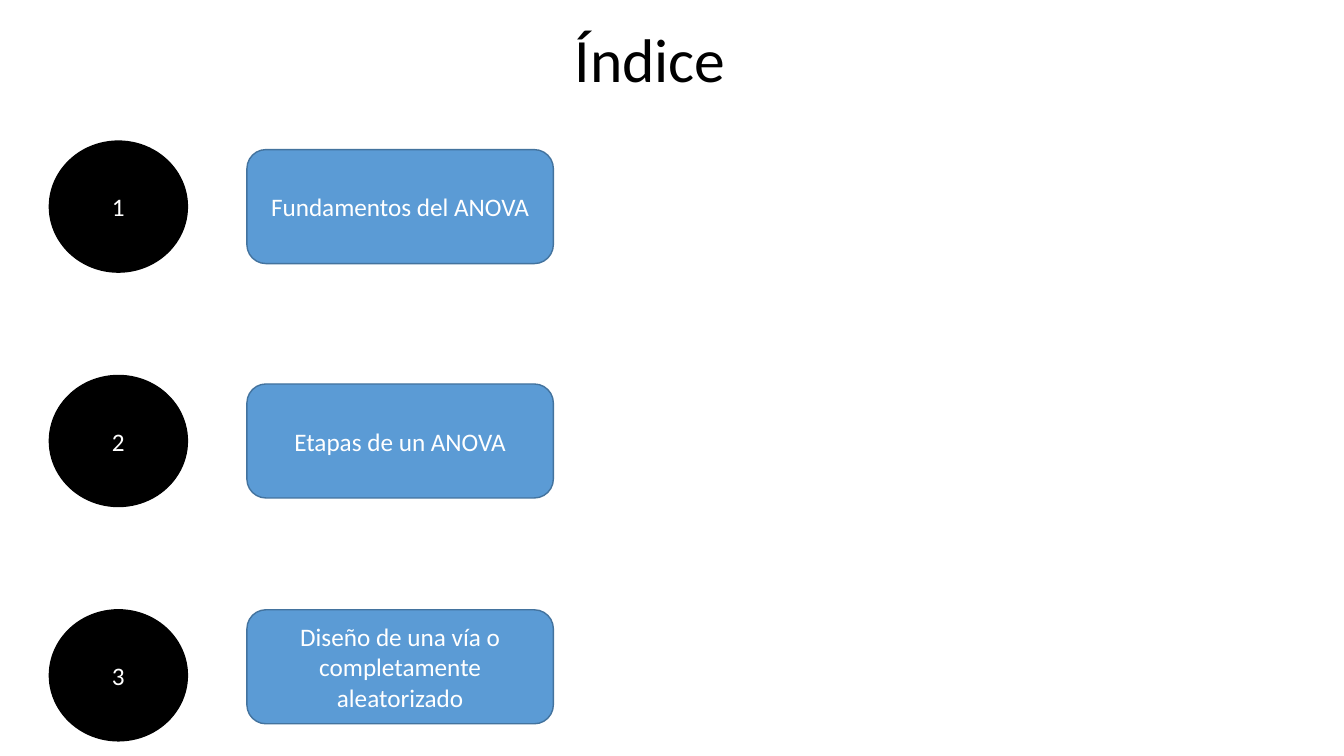
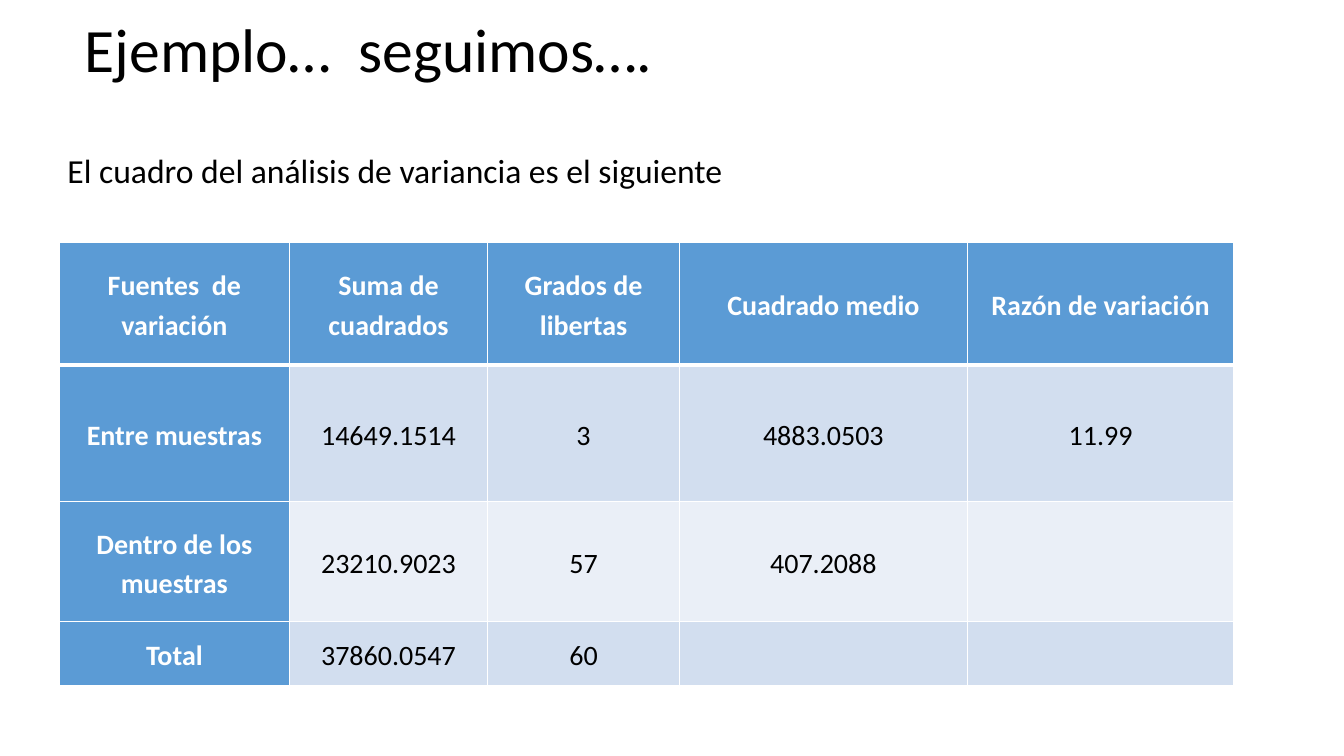
from lxml import etree
from pptx import Presentation
from pptx.dml.color import RGBColor
from pptx.enum import shapes, text
from pptx.oxml import ns
from pptx.util import Pt

FONT = "Calibri"
BLACK, WHITE = "000000", "FFFFFF"
BLUE, DARK_BLUE = "5B9BD5", "43739E"
BANDS = ("D2DEEF", "EAEFF7")
TITLE_LAYOUT, CONTENT_LAYOUT = 5, 1
CENTER, LEFT = text.PP_ALIGN.CENTER, text.PP_ALIGN.LEFT
MIDDLE, TOP = text.MSO_ANCHOR.MIDDLE, text.MSO_ANCHOR.TOP

TOPICS = [
    "Fundamentos del ANOVA",
    "Etapas de un ANOVA",
    "Diseño de una vía o completamente aleatorizado",
]
ANOVA_ROWS = [
    ["Fuentes  de variación", "Suma de cuadrados", "Grados de libertas",
     "Cuadrado medio", "Razón de variación"],
    ["Entre muestras", "14649.1514", "3", "4883.0503", "11.99"],
    ["Dentro de los muestras", "23210.9023", "57", "407.2088", ""],
    ["Total", "37860.0547", "60", "", ""],
]
COLUMN_WIDTHS = (164.2, 141.8, 136.8, 205.9, 190.1)
ROW_HEIGHTS = (87.8, 97.9, 85.7, 45.4)


def color(hex_value):
    return RGBColor.from_string(hex_value)


def apply(target, values):
    for name, value in values.items():
        setattr(target, name, value)


def write(frame, words, size, ink, align, bold=False, **paragraph_format):
    frame.text = words
    paragraph = frame.paragraphs[0]
    apply(paragraph, {"alignment": align, **paragraph_format})
    apply(paragraph.font, {"name": FONT, "size": Pt(size), "bold": bold})
    paragraph.font.color.rgb = color(ink)


def fill_placeholder(holder, box, words, size, align, anchor, space_before=0):
    left, top, width, height = map(Pt, box)
    apply(holder, {"left": left, "top": top, "width": width, "height": height})
    apply(holder.text_frame, {"word_wrap": True, "vertical_anchor": anchor,
                              "auto_size": text.MSO_AUTO_SIZE.NONE})
    write(holder.text_frame, words, size, BLACK, align,
          line_spacing=0.9, space_before=Pt(space_before))


def add_title(slide, box, words, align):
    fill_placeholder(slide.shapes.title, box, words, 44, align, MIDDLE)


def remove_bullet(paragraph):
    properties = paragraph._p.get_or_add_pPr()
    apply_indent = {"marL": "0", "indent": "0"}
    for name, value in apply_indent.items():
        properties.set(name, value)
    etree.SubElement(properties, ns.qn("a:buNone"))


def add_label(slide, kind, box, words, fill, outline):
    label = slide.shapes.add_shape(kind, *map(Pt, box))
    label.shadow.inherit = False
    label.fill.solid()
    label.fill.fore_color.rgb = color(fill)
    label.line.color.rgb = color(outline)
    label.line.width = Pt(1)
    apply(label.text_frame, {"word_wrap": True, "vertical_anchor": MIDDLE})
    write(label.text_frame, words, 18, WHITE, CENTER)


def add_topic(slide, left, top, number, topic, topic_drop):
    """Place a numbered circle and its topic, which starts topic_drop lower."""
    add_label(slide, shapes.MSO_SHAPE.OVAL, (left, top, 98.6, 93.6),
              str(number), BLACK, BLACK)
    add_label(slide, shapes.MSO_SHAPE.ROUNDED_RECTANGLE,
              (left + 141.1, top + topic_drop, 218.9, 81.4),
              topic, BLUE, DARK_BLUE)


def add_borders(cell, widths):
    """Draw white borders; widths maps the sides L, R, T and B to points."""
    properties = cell._tc.get_or_add_tcPr()
    for side, width in widths.items():
        border = etree.SubElement(properties, ns.qn(f"a:ln{side}"), w=str(Pt(width)))
        paint = etree.SubElement(border, ns.qn("a:solidFill"))
        etree.SubElement(paint, ns.qn("a:srgbClr"), val=WHITE)


def format_cell(cell, words, row, column):
    is_heading = row == 0 or column == 0
    apply(cell, {"margin_left": Pt(5), "margin_right": Pt(5), "margin_top": 0,
                 "margin_bottom": 0, "vertical_anchor": MIDDLE})
    add_borders(cell, {"L": 1, "R": 1, "T": 3 if row == 1 else 1,
                       "B": 3 if row == 0 else 1})
    cell.fill.solid()
    cell.fill.fore_color.rgb = color(BLUE if is_heading else BANDS[(row - 1) % 2])
    write(cell.text_frame, words, 20, WHITE if is_heading else BLACK, CENTER,
          bold=is_heading, line_spacing=1.15)


def add_anova_table(slide, left, top):
    size = (sum(COLUMN_WIDTHS), sum(ROW_HEIGHTS))
    table = slide.shapes.add_table(len(ROW_HEIGHTS), len(COLUMN_WIDTHS),
                                   *map(Pt, (left, top, *size))).table
    for column, width in zip(table.columns, COLUMN_WIDTHS):
        column.width = Pt(width)
    for row, height in zip(table.rows, ROW_HEIGHTS):
        row.height = Pt(height)
    for row, entries in enumerate(ANOVA_ROWS):
        for column, words in enumerate(entries):
            format_cell(table.cell(row, column), words, row, column)


def build_index(deck):
    slide = deck.slides.add_slide(deck.slide_layouts[TITLE_LAYOUT])
    add_title(slide, (50.4, 10.8, 828, 67.7), "Índice", CENTER)
    for position, topic in enumerate(TOPICS):
        is_last = position == len(TOPICS) - 1
        add_topic(slide, 35.3, 100.8 + 167.4 * position, position + 1, topic,
                  topic_drop=0 if is_last else 6.1)


def build_example(deck):
    slide = deck.slides.add_slide(deck.slide_layouts[CONTENT_LAYOUT])
    add_title(slide, (53.3, 5, 828, 65.5), "Ejemplo…  seguimos….", LEFT)
    statement = slide.placeholders[1]
    fill_placeholder(statement, (41, 106.6, 828, 342.7),
                     "El cuadro del análisis de variancia es el siguiente",
                     24, LEFT, TOP, space_before=10)
    remove_bullet(statement.text_frame.paragraphs[0])
    add_anova_table(slide, 42.5, 172.8)


def main():
    deck = Presentation()
    apply(deck, {"slide_width": Pt(960), "slide_height": Pt(540)})
    build_index(deck)
    build_example(deck)
    deck.save("out.pptx")


if __name__ == "__main__":
    main()
